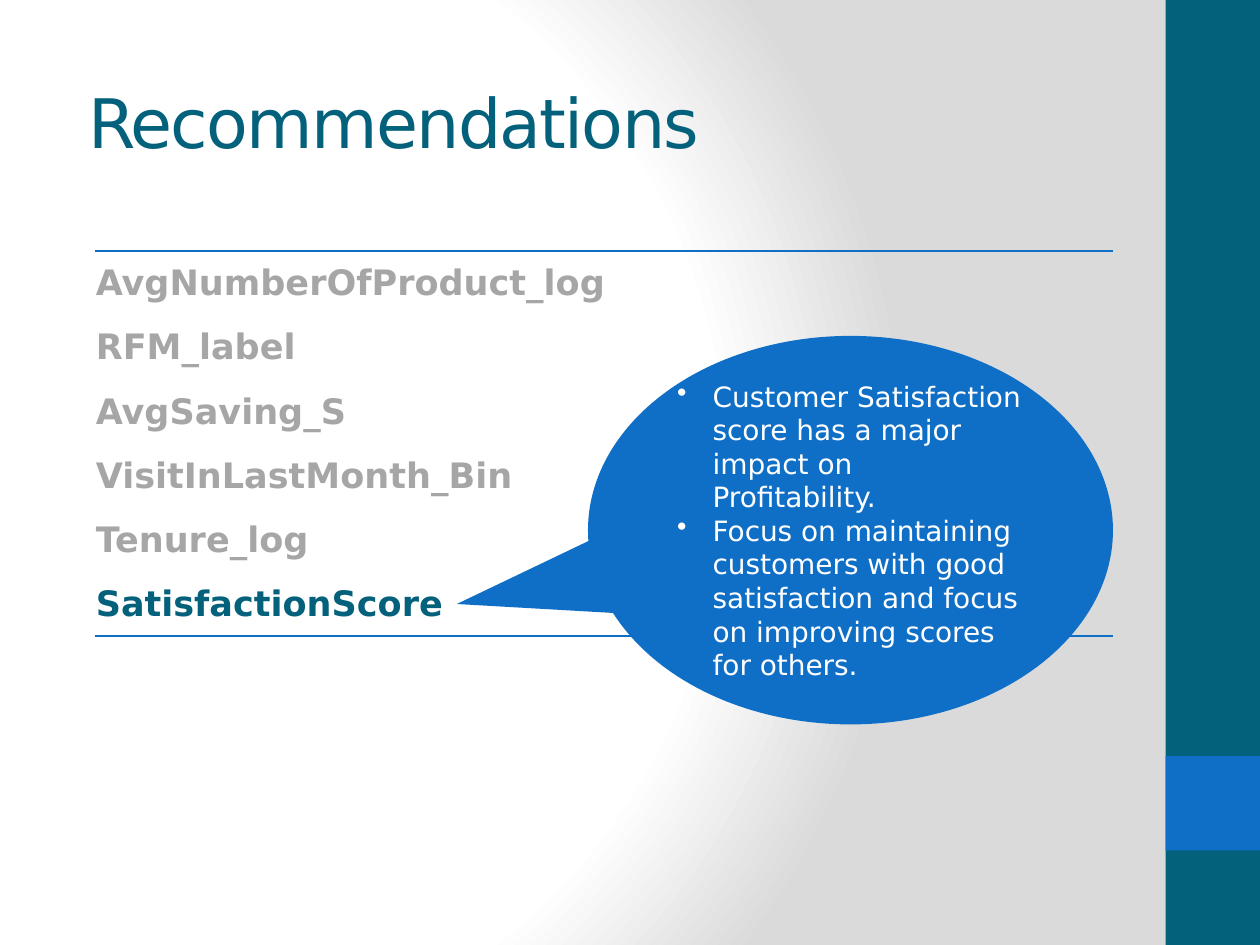
from dataclasses import dataclass

from lxml import etree
from pptx import Presentation
from pptx.dml.color import RGBColor
from pptx.enum.shapes import MSO_SHAPE
from pptx.enum.text import MSO_ANCHOR, MSO_AUTO_SIZE, PP_ALIGN
from pptx.oxml import parse_xml
from pptx.oxml.ns import qn
from pptx.util import Pt

RECT = MSO_SHAPE.RECTANGLE
BUBBLE = MSO_SHAPE.OVAL_CALLOUT
MIDDLE = MSO_ANCHOR.MIDDLE
LEFT = PP_ALIGN.LEFT
NO_FIT = MSO_AUTO_SIZE.NONE
TITLE_ONLY = 5
PLAIN_TABLE = "{2D5ABB26-0587-4C30-8999-92F81FD0307C}"
DRAW_NS = "http://schemas.openxmlformats.org/drawingml/2006/main"

TITLE = "Recommendations"
FACTORS = [
    "AvgNumberOfProduct_log",
    "RFM_label",
    "AvgSaving_S",
    "VisitInLastMonth_Bin",
    "Tenure_log",
    "SatisfactionScore",
]
ACTIVE = "SatisfactionScore"
ADVICE = [
    "Customer Satisfaction score has a major impact on Profitability.",
    "Focus on maintaining customers with good satisfaction and focus "
    "on improving scores for others.",
]


@dataclass(frozen=True)
class Theme:
    font: str = "DejaVu Sans"
    teal: str = "04617B"
    blue: str = "0F6FC6"
    muted: str = "A6A6A6"
    white: str = "FFFFFF"
    shade: str = "DADADA"
    title: float = 39
    factor: float = 20
    advice: float = 16


THEME = Theme()
WIDTH, HEIGHT = 720, 540
BAND = 54
TABLE_LEFT, TABLE_TOP = 54, 143.3
COLUMNS = (495.8, 86)
ROW = 36.7
INDENT = 20.25


def place(shape, left, top, width, height):
    shape.left, shape.top = Pt(left), Pt(top)
    shape.width, shape.height = Pt(width), Pt(height)


def style(para, size, color, bold=False):
    para.alignment = LEFT
    para.font.name = THEME.font
    para.font.size = Pt(size)
    para.font.bold = bold
    para.font.color.rgb = RGBColor.from_string(color)


def add_block(slide, kind, box, color):
    shape = slide.shapes.add_shape(kind, *map(Pt, box))
    shape.shadow.inherit = False
    shape.fill.solid()
    shape.fill.fore_color.rgb = RGBColor.from_string(color)
    shape.line.fill.background()
    return shape


def shade_back(slide):
    """Give the slide a round gradient, light at its left centre."""
    slide.background.fill.solid()
    stops = "".join(
        f'<a:gs pos="{pos * 1000}"><a:srgbClr val="{color}"/></a:gs>'
        for pos, color in [(0, THEME.white), (75, THEME.white), (100, THEME.shade)]
    )
    grad = parse_xml(
        f'<a:gradFill xmlns:a="{DRAW_NS}" rotWithShape="1"><a:gsLst>{stops}</a:gsLst>'
        '<a:path path="circle"><a:fillToRect l="20000" t="50000" r="100000" b="50000"/>'
        "</a:path></a:gradFill>"
    )
    solid = next(slide.element.iter(qn("a:solidFill")))
    solid.getparent().replace(solid, grad)


def add_title(slide):
    title = slide.shapes.title
    place(title, 43.2, 36, 620.6, 67)
    frame = title.text_frame
    frame.text = TITLE
    frame.auto_size = NO_FIT
    frame.vertical_anchor = MIDDLE
    para = frame.paragraphs[0]
    style(para, THEME.title, THEME.teal)
    para.runs[0].font._element.set("spc", "-100")


def add_rule(cell, side):
    props = cell._tc.get_or_add_tcPr()
    props.insert(0, parse_xml(
        f'<a:{side} xmlns:a="{DRAW_NS}" w="{Pt(1)}"><a:solidFill>'
        f'<a:srgbClr val="{THEME.blue}"/></a:solidFill></a:{side}>'
    ))


def add_factors(slide):
    count = len(FACTORS)
    frame = slide.shapes.add_table(
        count, len(COLUMNS), Pt(TABLE_LEFT), Pt(TABLE_TOP),
        Pt(sum(COLUMNS)), Pt(ROW * count),
    )
    table = frame.table
    table.first_row = table.horz_banding = False
    next(frame._element.iter(qn("a:tableStyleId"))).text = PLAIN_TABLE
    for column, width in zip(table.columns, COLUMNS):
        column.width = Pt(width)
    for index, name in enumerate(FACTORS):
        row = table.rows[index]
        row.height = Pt(ROW)
        for cell in row.cells:
            cell.fill.background()
            if index == 0:
                add_rule(cell, "lnT")
            if index == count - 1:
                add_rule(cell, "lnB")
        cell = row.cells[0]
        cell.text = name
        cell.vertical_anchor = MIDDLE
        cell.margin_left = cell.margin_right = cell.margin_top = Pt(0.75)
        cell.margin_bottom = 0
        color = THEME.teal if name == ACTIVE else THEME.muted
        style(cell.text_frame.paragraphs[0], THEME.factor, color, bold=True)


def add_advice(slide):
    bubble = add_block(slide, BUBBLE, (336, 192, 300, 222), THEME.blue)
    bubble.adjustments[0], bubble.adjustments[1] = -0.75, 0.19
    frame = bubble.text_frame
    frame.word_wrap = True
    frame.vertical_anchor = MIDDLE
    frame.text = "\n".join(ADVICE)
    for para in frame.paragraphs:
        style(para, THEME.advice, THEME.white)
        props = para._p.get_or_add_pPr()
        props.set("marL", str(Pt(INDENT)))
        props.set("indent", str(-Pt(INDENT)))
        mark = etree.Element(qn("a:buChar"), char="•")
        props.insert_element_before(mark, "a:tabLst", "a:defRPr", "a:extLst")


def main():
    deck = Presentation()
    deck.slide_width, deck.slide_height = Pt(WIDTH), Pt(HEIGHT)
    slide = deck.slides.add_slide(deck.slide_layouts[TITLE_ONLY])
    shade_back(slide)
    edge = WIDTH - BAND
    add_block(slide, RECT, (edge, 0, BAND, HEIGHT), THEME.teal)
    add_block(slide, RECT, (edge, HEIGHT - 2 * BAND, BAND, BAND), THEME.blue)
    add_factors(slide)
    add_title(slide)
    add_advice(slide)
    deck.save("out.pptx")


if __name__ == "__main__":
    main()
